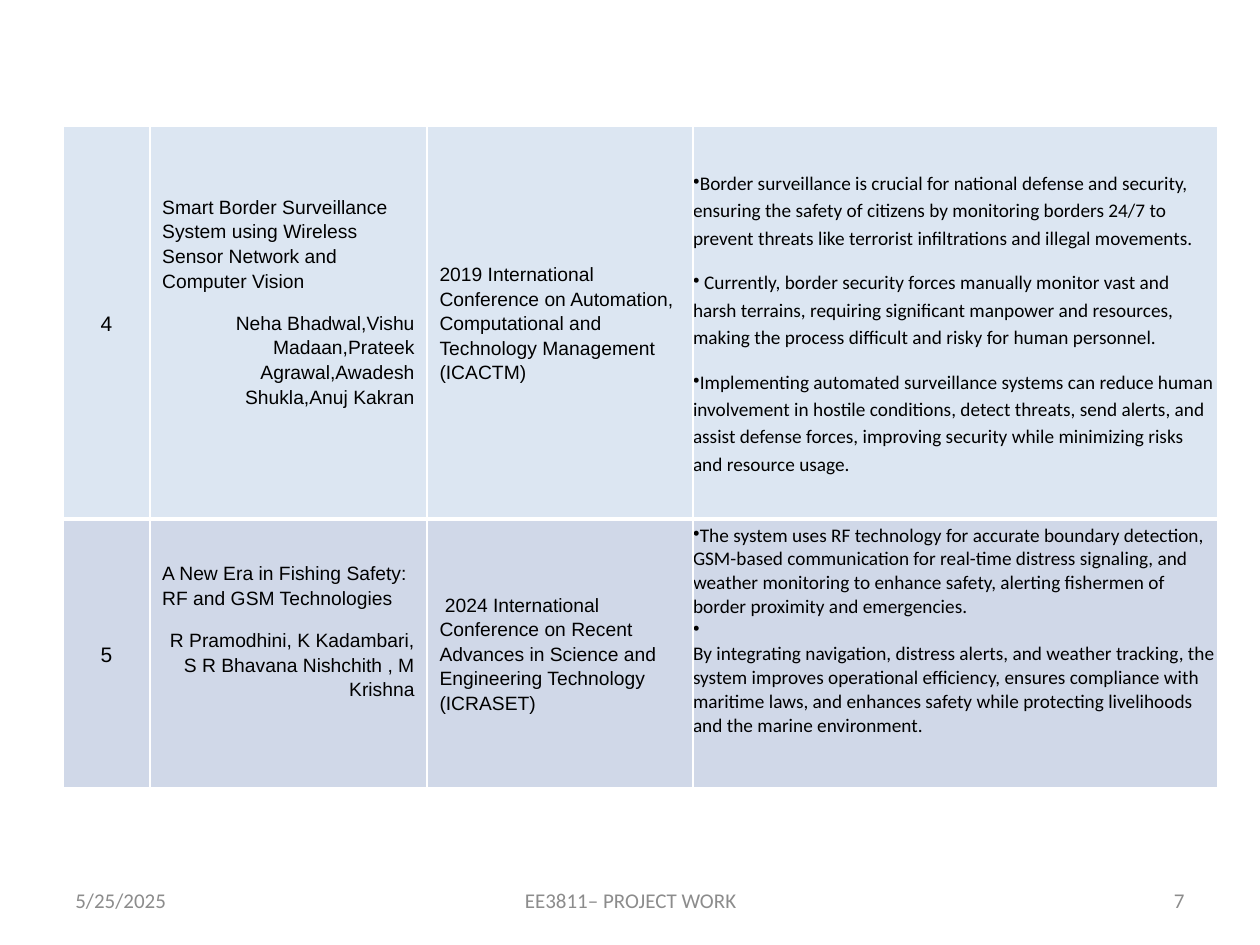
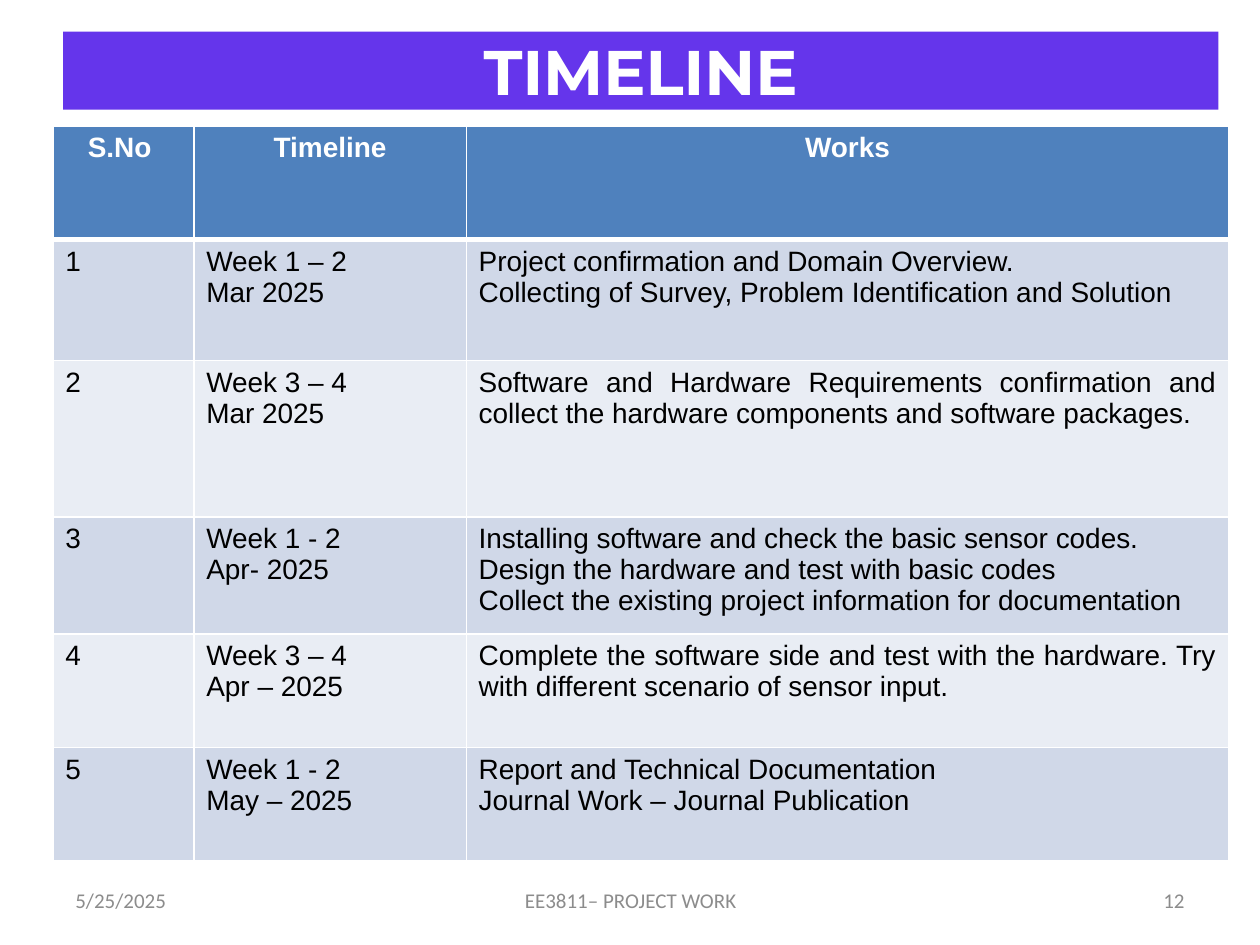
"""Build a literature survey slide and a project timeline slide."""
from dataclasses import dataclass

from lxml import etree
from pptx import Presentation
from pptx.dml.color import RGBColor
from pptx.enum.text import MSO_ANCHOR, PP_ALIGN
from pptx.oxml.ns import qn
from pptx.util import Cm, Pt

LEFT, CENTER, RIGHT, JUSTIFY = PP_ALIGN.LEFT, PP_ALIGN.CENTER, PP_ALIGN.RIGHT, PP_ALIGN.JUSTIFY
TOP, MIDDLE = MSO_ANCHOR.TOP, MSO_ANCHOR.MIDDLE

WHITE = RGBColor(0xFF, 0xFF, 0xFF)
BLACK = RGBColor(0x00, 0x00, 0x00)
GRAY = RGBColor(0x8C, 0x8C, 0x8C)
VIOLET = RGBColor(0x65, 0x35, 0xEB)
HEADER_BLUE = RGBColor(0x4F, 0x81, 0xBD)
ICE_BLUE = RGBColor(0xDC, 0xE6, 0xF2)
BAND_DARK = RGBColor(0xD0, 0xD8, 0xE8)
BAND_LIGHT = RGBColor(0xE9, 0xED, 0xF4)

TITLE_ONLY, BLANK = 5, 6
BODY_FONT, NOTE_FONT, TITLE_FONT = "Arial", "Calibri", "Montserrat"
THIN, HEAVY = Pt(1), Pt(3)
TABLE_TOP = 2.54


@dataclass(frozen=True)
class Line:
    text: str
    size: float = 11
    align: PP_ALIGN = LEFT
    font: str = BODY_FONT
    color: RGBColor = BLACK
    bold: bool = False
    spacing: float = 1.0
    after: float = 0
    bullet: bool = False


@dataclass(frozen=True)
class Entry:
    lines: list[Line]
    fill: RGBColor
    anchor: MSO_ANCHOR = TOP
    side: float = 0.25
    top: float = 0.13
    bottom: float = 0.13


@dataclass(frozen=True)
class Grid:
    left: float
    widths: list[float]
    heights: list[float]
    rows: list[list[Entry]]


@dataclass(frozen=True)
class FooterPart:
    left: float
    width: float
    align: PP_ALIGN


@dataclass(frozen=True)
class Paper:
    number: str
    title: str
    authors: str
    venue: str
    findings: list[str]
    fill: RGBColor
    findings_spacing: float
    findings_after: float
    authors_bottom: float
    findings_bottom: float


@dataclass(frozen=True)
class Stage:
    weeks: str
    month: str
    works: list[str]


FOOTER_PARTS = [
    FooterPart(1.27, 5.92, LEFT),
    FooterPart(8.69, 8.05, CENTER),
    FooterPart(18.21, 5.92, RIGHT),
]

PAPERS = [
    Paper(
        "4",
        "Smart Border Surveillance System using Wireless Sensor Network and Computer Vision",
        "Neha Bhadwal,Vishu Madaan,Prateek Agrawal,Awadesh Shukla,Anuj Kakran",
        "2019 International Conference on Automation, Computational and Technology Management (ICACTM)",
        [
            "Border surveillance is crucial for national defense and security, ensuring the safety of "
            "citizens by monitoring borders 24/7 to prevent threats like terrorist infiltrations and "
            "illegal movements.",
            " Currently, border security forces manually monitor vast and harsh terrains, requiring "
            "significant manpower and resources, making the process difficult and risky for human "
            "personnel.",
            "Implementing automated surveillance systems can reduce human involvement in hostile "
            "conditions, detect threats, send alerts, and assist defense forces, improving security "
            "while minimizing risks and resource usage.",
        ],
        ICE_BLUE, 1.15, 10, 1.0, 0,
    ),
    Paper(
        "5",
        "A New Era in Fishing Safety: RF and GSM Technologies",
        "R Pramodhini, K Kadambari, S R Bhavana Nishchith , M Krishna",
        " 2024 International Conference on Recent Advances in Science and Engineering Technology "
        "(ICRASET)",
        [
            "The system uses RF technology for accurate boundary detection, GSM-based communication "
            "for real-time distress signaling, and weather monitoring to enhance safety, alerting "
            "fishermen of border proximity and emergencies.",
            "\nBy integrating navigation, distress alerts, and weather tracking, the system improves "
            "operational efficiency, ensures compliance with maritime laws, and enhances safety while "
            "protecting livelihoods and the marine environment.",
        ],
        BAND_DARK, 1.0, 0, 1.04, 0.91,
    ),
]

HEADINGS = ["S.No ", "Timeline", "Works"]
STAGES = [
    Stage("Week 1 – 2 ", "Mar 2025", [
        "Project confirmation and Domain Overview. ",
        "Collecting of Survey, Problem Identification and Solution",
    ]),
    Stage("Week 3 – 4 ", "Mar 2025", [
        "Software and Hardware Requirements confirmation and collect the hardware components and "
        "software packages.",
    ]),
    Stage("Week 1 - 2", "Apr- 2025", [
        "Installing software and check the basic sensor codes.",
        "Design the hardware and test with basic codes",
        "Collect the existing project information for documentation",
    ]),
    Stage("Week 3 – 4 ", "Apr – 2025", [
        "Complete the software side and test with the hardware. Try with different scenario of "
        "sensor input.",
    ]),
    Stage("Week 1 - 2", "May – 2025", [
        "Report and Technical Documentation",
        "Journal Work – Journal Publication",
    ]),
]


def write_lines(frame, lines: list[Line]) -> None:
    """Fill a text frame with formatted paragraphs."""
    for index, line in enumerate(lines):
        paragraph = frame.paragraphs[0] if index == 0 else frame.add_paragraph()
        paragraph.text = line.text
        paragraph.alignment = line.align
        paragraph.line_spacing = line.spacing
        paragraph.space_before = Pt(0)
        paragraph.space_after = Pt(line.after)
        font = paragraph.font
        font.name, font.size, font.bold = line.font, Pt(line.size), line.bold
        font.color.rgb = line.color
        if line.bullet:
            add_bullet(paragraph)


def add_bullet(paragraph) -> None:
    """Give a paragraph a round bullet without indent."""
    properties = paragraph._p.get_or_add_pPr()
    properties.set("marL", "0")
    properties.set("indent", "0")
    bullet = etree.Element(qn("a:buChar"), char="•")
    properties.find(qn("a:defRPr")).addprevious(bullet)


def add_borders(cell, top: int, bottom: int) -> None:
    """Draw white borders round a table cell."""
    properties = cell._tc.get_or_add_tcPr()
    widths = {"a:lnL": THIN, "a:lnR": THIN, "a:lnT": top, "a:lnB": bottom}
    for position, (tag, width) in enumerate(widths.items()):
        border = etree.Element(qn(tag), w=str(int(width)))
        fill = etree.SubElement(border, qn("a:solidFill"))
        etree.SubElement(fill, qn("a:srgbClr"), val=str(WHITE))
        properties.insert(position, border)


def add_grid(slide, grid: Grid) -> None:
    """Draw a table with a heavy rule under its first row."""
    table = slide.shapes.add_table(
        len(grid.heights), len(grid.widths), Cm(grid.left), Cm(TABLE_TOP),
        Cm(sum(grid.widths)), Cm(sum(grid.heights)),
    ).table
    table.first_row = table.horz_banding = False
    for column, width in zip(table.columns, grid.widths):
        column.width = Cm(width)
    for index, (row, height, entries) in enumerate(zip(table.rows, grid.heights, grid.rows)):
        row.height = Cm(height)
        for cell, entry in zip(row.cells, entries):
            cell.fill.solid()
            cell.fill.fore_color.rgb = entry.fill
            cell.vertical_anchor = entry.anchor
            cell.margin_left = cell.margin_right = Cm(entry.side)
            cell.margin_top, cell.margin_bottom = Cm(entry.top), Cm(entry.bottom)
            write_lines(cell.text_frame, entry.lines)
            add_borders(cell, HEAVY if index == 1 else THIN, HEAVY if index == 0 else THIN)


def add_footer(slide, number: str) -> None:
    """Place the date, the course name and the slide number."""
    for part, text in zip(FOOTER_PARTS, ["5/25/2025", "EE3811– PROJECT WORK", number]):
        frame = slide.shapes.add_textbox(Cm(part.left), Cm(17.65), Cm(part.width), Cm(1.01)).text_frame
        frame.word_wrap = True
        frame.vertical_anchor = MIDDLE
        write_lines(frame, [Line(text, 12, part.align, NOTE_FONT, GRAY)])


def add_title(slide, text: str) -> None:
    """Turn the title placeholder into a violet band."""
    title = slide.shapes.title
    title.left, title.top, title.width, title.height = Cm(1.27), Cm(0.64), Cm(23.29), Cm(1.57)
    title.fill.solid()
    title.fill.fore_color.rgb = VIOLET
    title.text_frame.vertical_anchor = MIDDLE
    write_lines(title.text_frame, [Line(text, 36, CENTER, TITLE_FONT, WHITE, True)])


def paper_row(paper: Paper) -> list[Entry]:
    """Lay out one surveyed paper as a table row."""
    def spaced(text: str, size: float = 11, align: PP_ALIGN = LEFT) -> Line:
        """Make a line with the survey's spacing."""
        return Line(text, size, align, spacing=1.15, after=10)

    findings = [
        Line(text, font=NOTE_FONT, spacing=paper.findings_spacing,
             after=paper.findings_after, bullet=True)
        for text in paper.findings
    ]
    return [
        Entry([spaced(paper.number, 12, CENTER)], paper.fill, MIDDLE),
        Entry([spaced(paper.title), spaced(paper.authors, align=RIGHT)],
              paper.fill, MIDDLE, bottom=paper.authors_bottom),
        Entry([spaced(paper.venue)], paper.fill, MIDDLE),
        Entry(findings, paper.fill, MIDDLE, 0, 0, paper.findings_bottom),
    ]


def stage_row(number: int, stage: Stage) -> list[Entry]:
    """Lay out one project stage as a table row."""
    fill = BAND_DARK if number % 2 else BAND_LIGHT
    columns = [[str(number)], [stage.weeks, stage.month], stage.works]
    return [Entry([Line(text, 16, JUSTIFY) for text in texts], fill) for texts in columns]


def main() -> None:
    """Build and save both slides."""
    deck = Presentation()
    deck.slide_width, deck.slide_height = Cm(25.4), Cm(19.05)

    survey = deck.slides.add_slide(deck.slide_layouts[BLANK])
    add_grid(survey, Grid(1.27, [1.75, 5.59, 5.36, 10.57], [7.92, 5.41],
                          [paper_row(paper) for paper in PAPERS]))
    add_footer(survey, "7")

    timeline = deck.slides.add_slide(deck.slide_layouts[TITLE_ONLY])
    add_title(timeline, "TIMELINE")
    add_footer(timeline, "12")
    header = [Entry([Line(text, 16, CENTER, color=WHITE, bold=True)], HEADER_BLUE) for text in HEADINGS]
    stages = [stage_row(number, stage) for number, stage in enumerate(STAGES, 1)]
    add_grid(timeline, Grid(1.07, [2.84, 5.49, 15.37], [2.29, 2.44, 3.15, 2.36, 2.29, 2.29],
                            [header, *stages]))
    deck.save("out.pptx")


if __name__ == "__main__":
    main()
